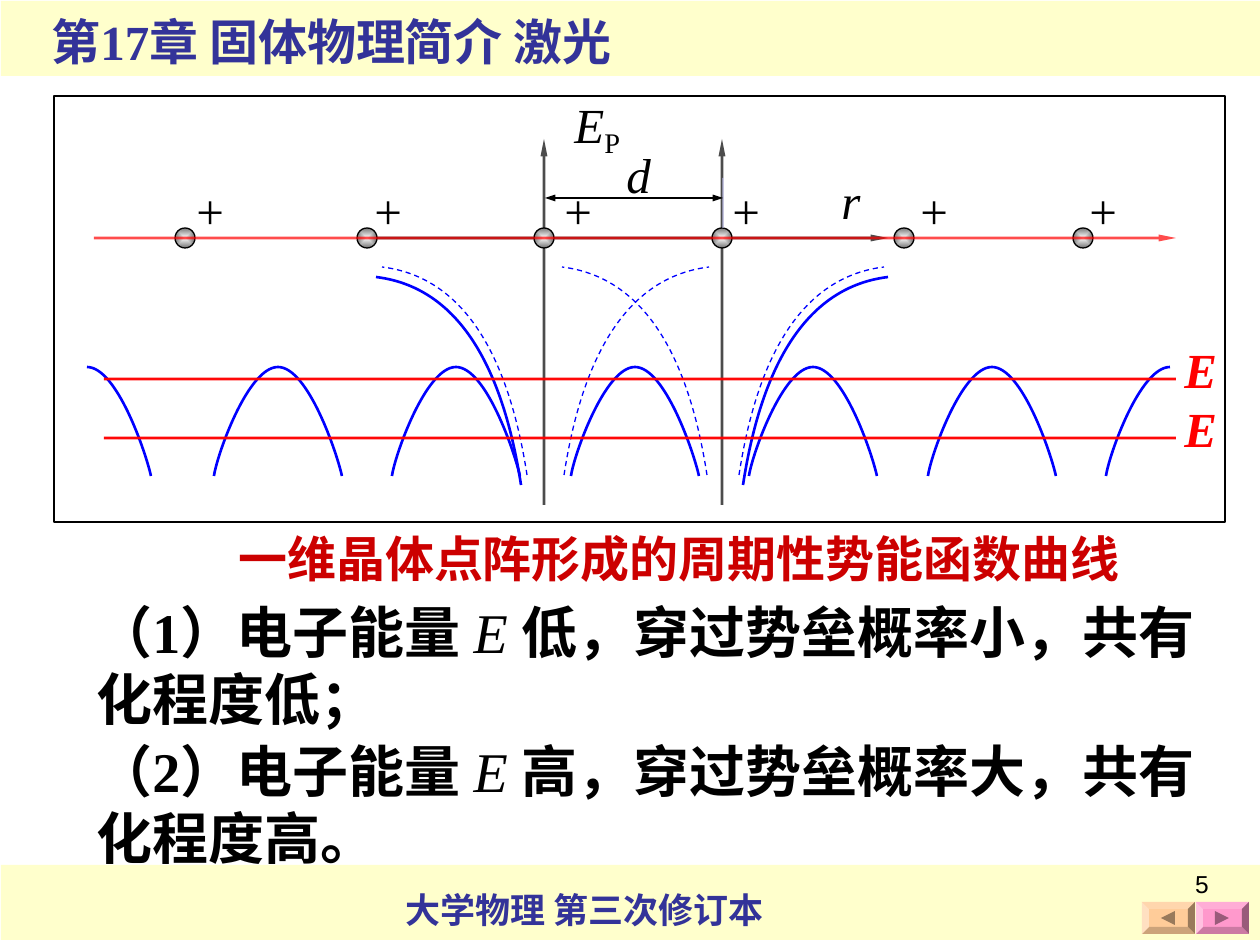
from dataclasses import dataclass

from lxml import etree
from pptx import Presentation
from pptx.dml.color import RGBColor
from pptx.enum.dml import MSO_LINE
from pptx.enum.shapes import MSO_CONNECTOR, MSO_SHAPE
from pptx.enum.text import MSO_AUTO_SIZE, PP_ALIGN
from pptx.oxml.ns import qn
from pptx.util import Emu, Pt

PX = 914400 / 126
RECT, OVAL = MSO_SHAPE.RECTANGLE, MSO_SHAPE.OVAL
STRAIGHT = MSO_CONNECTOR.STRAIGHT
DASH = MSO_LINE.DASH
FIT, LEFT, RIGHT = MSO_AUTO_SIZE.SHAPE_TO_FIT_TEXT, PP_ALIGN.LEFT, PP_ALIGN.RIGHT


@dataclass(frozen=True)
class Theme:
    serif: str = "Times New Roman"
    sans: str = "Arial"
    band: str = "FFFFCC"
    heading: str = "333399"
    caption: str = "CC0000"
    ink: str = "000000"
    curve: str = "0000FF"
    level: str = "FF0000"
    guide: str = "CCCCFF"
    ion_center: str = "FFFFFF"
    ion_edge: str = "757575"
    back: str = "FFCC99"
    forward: str = "FF99CC"
    body_size: int = 32
    label_size: int = 28
    footer_size: int = 20
    number_size: int = 14
    thin: float = 0.75
    thick: float = 1.5


THEME = Theme()

# Bezier anchors and handles, relative to each curve's top left
BARRIER = [(0, 208), (16, 104), (55, 11), (145, 0)]
RISE = [(0, 109), (3, 88), (34, 0), (64, 0)]
FALL = [(0, 0), (30, 0), (59, 86), (64, 109)]
ARCH = RISE + [(x + 64, y) for x, y in FALL[1:]]

# Shading of a button's face, top, right, bottom and left edges, and arrow
BUTTON_SHADES = ("norm", "lightenLess", "darken", "darkenLess", "lighten", "darken")


def px(value):
    return Emu(round(value * PX))


def color(value):
    return RGBColor.from_string(value)


def style_line(line, tint, width):
    line.color.rgb = color(tint)
    line.width = Pt(width)


def add_shape(page, kind, left, top, width, height, fill=None, outline=None):
    shape = page.shapes.add_shape(kind, px(left), px(top), px(width), px(height))
    shape.shadow.inherit = False
    if fill:
        shape.fill.solid()
        shape.fill.fore_color.rgb = color(fill)
    else:
        shape.fill.background()
    if outline:
        style_line(shape.line, outline, THEME.thin)
    else:
        shape.line.fill.background()
    return shape


def add_text(page, left, top, width, height, spans, size=THEME.label_size,
             tint=THEME.ink, font=THEME.serif, wrap=False, align=LEFT):
    """Each span is its text and a style string: b bold, i italic, s subscript."""
    box = page.shapes.add_textbox(px(left), px(top), px(width), px(height))
    frame = box.text_frame
    frame.word_wrap = wrap
    frame.auto_size = FIT
    para = frame.paragraphs[0]
    para.alignment = align
    for text, style in spans:
        span = para.add_run()
        span.text = text
        span.font.name = font
        span.font.size = Pt(size)
        span.font.color.rgb = color(tint)
        span.font.bold = "b" in style
        span.font.italic = "i" in style
        if "s" in style:
            span._r.get_or_add_rPr().set("baseline", "-22000")


def add_line(page, start, end, tint, width, opacity=100, head=None, tail=None):
    """Head and tail give the arrowhead length, or None for a plain end."""
    line = page.shapes.add_connector(STRAIGHT, *map(px, start + end))
    style_line(line.line, tint, width)
    outline = line.line._get_or_add_ln()
    if opacity < 100:
        rgb = outline.find(".//" + qn("a:srgbClr"))
        etree.SubElement(rgb, qn("a:alpha"), val=str(opacity * 1000))
    for tag, length in (("a:headEnd", head), ("a:tailEnd", tail)):
        if length:
            etree.SubElement(outline, qn(tag), type="triangle", w="sm", len=length)
    etree.SubElement(line._element.spPr, qn("a:effectLst"))


def add_outline(page, contours, closed):
    contours = [[(px(x), px(y)) for x, y in contour] for contour in contours]
    builder = page.shapes.build_freeform(*contours[0][0])
    for number, contour in enumerate(contours):
        if number:
            builder.move_to(*contour[0])
        builder.add_line_segments(contour[1:], close=closed)
    shape = builder.convert_to_shape()
    shape.shadow.inherit = False
    return shape, shape._element.spPr.find(".//" + qn("a:path"))


def add_curve(page, anchors, left, top, mirrored=False, dashed=False):
    span = max(x for x, _ in anchors)
    points = [(left + (span - x if mirrored else x), top + y) for x, y in anchors]
    curve, outline = add_outline(page, [points], closed=False)
    # Every three points after the start make one Bezier segment
    segments = outline.findall(qn("a:lnTo"))
    for first in range(0, len(segments), 3):
        bezier = etree.SubElement(outline, qn("a:cubicBezTo"))
        for segment in segments[first:first + 3]:
            bezier.append(segment[0])
            outline.remove(segment)
    curve.fill.background()
    style_line(curve.line, THEME.curve, THEME.thin if dashed else THEME.thick)
    if dashed:
        curve.line.dash_style = DASH


def add_ion(page, left):
    ion = add_shape(page, OVAL, left, 228, 20, 20, outline=THEME.ink)
    ion.fill.gradient()
    for stop, tint in zip(ion.fill.gradient_stops, (THEME.ion_center, THEME.ion_edge)):
        stop.color.rgb = color(tint)
    gradient = ion._element.spPr.find(qn("a:gradFill"))
    gradient.remove(gradient.find(qn("a:lin")))
    radial = etree.SubElement(gradient, qn("a:path"), path="rect")
    etree.SubElement(radial, qn("a:fillToRect"), l="50000", t="50000", r="50000", b="50000")


def add_button(page, left, tint, direction):
    outer = [(left, 902), (left + 53, 902), (left + 53, 934), (left, 934)]
    inner = [(left + 7, 909), (left + 46, 909), (left + 46, 927), (left + 7, 927)]
    edges = [[outer[i], outer[(i + 1) % 4], inner[(i + 1) % 4], inner[i]] for i in range(4)]
    base, tip = left + 26 - 7 * direction, left + 26 + 7 * direction
    arrow = [(base, 911), (tip, 918), (base, 925)]
    button, outline = add_outline(page, [outer, *edges, arrow], closed=True)
    # Give each contour its own path so that it can be shaded
    shade = iter(BUTTON_SHADES)
    for step in list(outline):
        if step.tag == qn("a:moveTo"):
            part = etree.SubElement(outline.getparent(), qn("a:path"), w=outline.get("w"),
                                    h=outline.get("h"), fill=next(shade))
        part.append(step)
    outline.getparent().remove(outline)
    button.fill.solid()
    button.fill.fore_color.rgb = color(tint)
    button.line.fill.background()


def add_frame(page):
    for top in (865, 1):
        add_shape(page, RECT, 1, top, 1259, 75, THEME.band)
    add_text(page, 393, 882, 393, 55, [("大学物理 第三次修订本", "b")],
             THEME.footer_size, THEME.heading)
    add_text(page, 39, 5, 635, 72, [("第17章 固体物理简介 激光", "b")], tint=THEME.heading)
    add_button(page, 1196, THEME.forward, 1)
    add_button(page, 1142, THEME.back, -1)
    add_text(page, 927, 863, 294, 66, [("5", "")], THEME.number_size,
             font=THEME.sans, wrap=True, align=RIGHT)


def add_potential(page):
    # Axes under the ions
    add_line(page, (362, 238), (888, 238), THEME.ink, THEME.thick, 69, tail="lg")
    for x in (544, 722):
        add_line(page, (x, 505), (x, 139), THEME.ink, THEME.thick, 69, tail="lg")
    # Single-ion barriers and the resulting outer walls
    for left, mirrored in ((564, False), (382, True), (562, True), (739, False)):
        add_curve(page, BARRIER, left, 267, mirrored, dashed=True)
    for left, mirrored in ((743, False), (376, True)):
        add_curve(page, BARRIER, left, 277, mirrored)
    # Periodic arches, with only half an arch at either end
    *lefts, last = [round(214 + 178.4 * number) for number in range(6)]
    for left in lefts:
        add_curve(page, ARCH, left, 367)
    add_curve(page, RISE, last, 367)
    add_curve(page, FALL, 87, 367)
    # Ions and their charges
    for left in (175, 357, 534, 712, 894, 1073):
        add_ion(page, left)
    for left in (184, 362, 552, 720, 908, 1077):
        add_text(page, left, 174, 53, 72, [("+", "")])
    # Distance axis, spacing and energy levels
    add_line(page, (94, 238), (1176, 238), THEME.level, THEME.thick, 69, tail="lg")
    add_line(page, (723, 178), (723, 228), THEME.guide, THEME.thin, 78)
    add_line(page, (545, 198), (723, 198), THEME.ink, THEME.thin, head="med", tail="med")
    for y in (379, 438):
        add_line(page, (104, y), (1176, y), THEME.level, THEME.thick, 96)
        add_text(page, 1172, y - 46, 58, 72, [("E", "bi")], tint=THEME.level)
    # Axis labels
    add_text(page, 562, 88, 71, 78, [("E", "i"), ("P", "s")])
    add_text(page, 829, 164, 44, 72, [("r", "i")])
    add_text(page, 614, 138, 49, 72, [("d", "i")])
    add_shape(page, RECT, 54, 96, 1171, 426, outline=THEME.ink)


def add_conclusions(page):
    add_text(page, 226, 522, 906, 72, [("一维晶体点阵形成的周期性势能函数曲线", "b")],
             tint=THEME.caption)
    for top, number, level, chance, ending in ((591, 1, "低", "小", "；"),
                                               (730, 2, "高", "大", "。")):
        add_text(page, 84, top, 1152, 147,
                 [(f"（{number}）电子能量 ", "b"), ("E ", "i"),
                  (f"{level}，穿过势垒概率{chance}，共有化程度{level}{ending}", "b")],
                 THEME.body_size, wrap=True)


def main():
    deck = Presentation()
    deck.slide_width, deck.slide_height = px(1260), px(945)
    page = deck.slides.add_slide(deck.slide_layouts[6])
    add_frame(page)
    add_potential(page)
    add_conclusions(page)
    deck.save("out.pptx")


if __name__ == "__main__":
    main()
